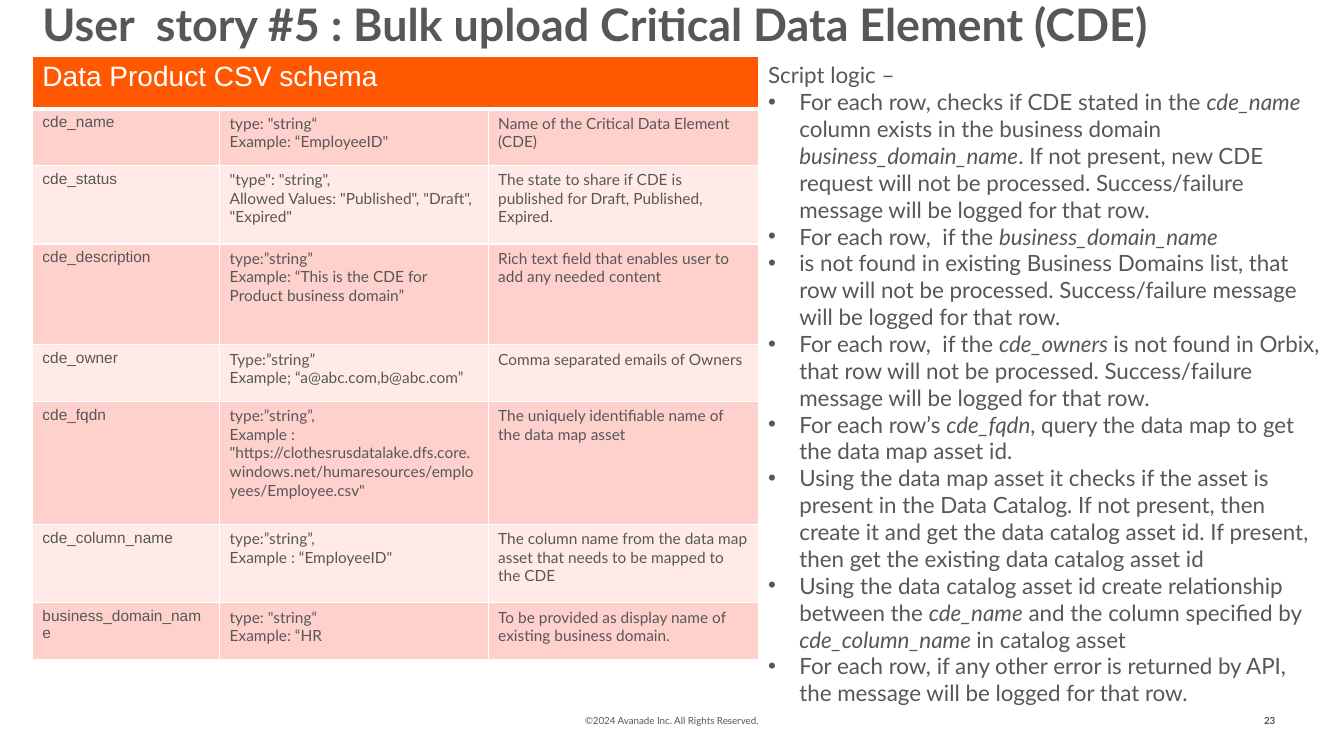
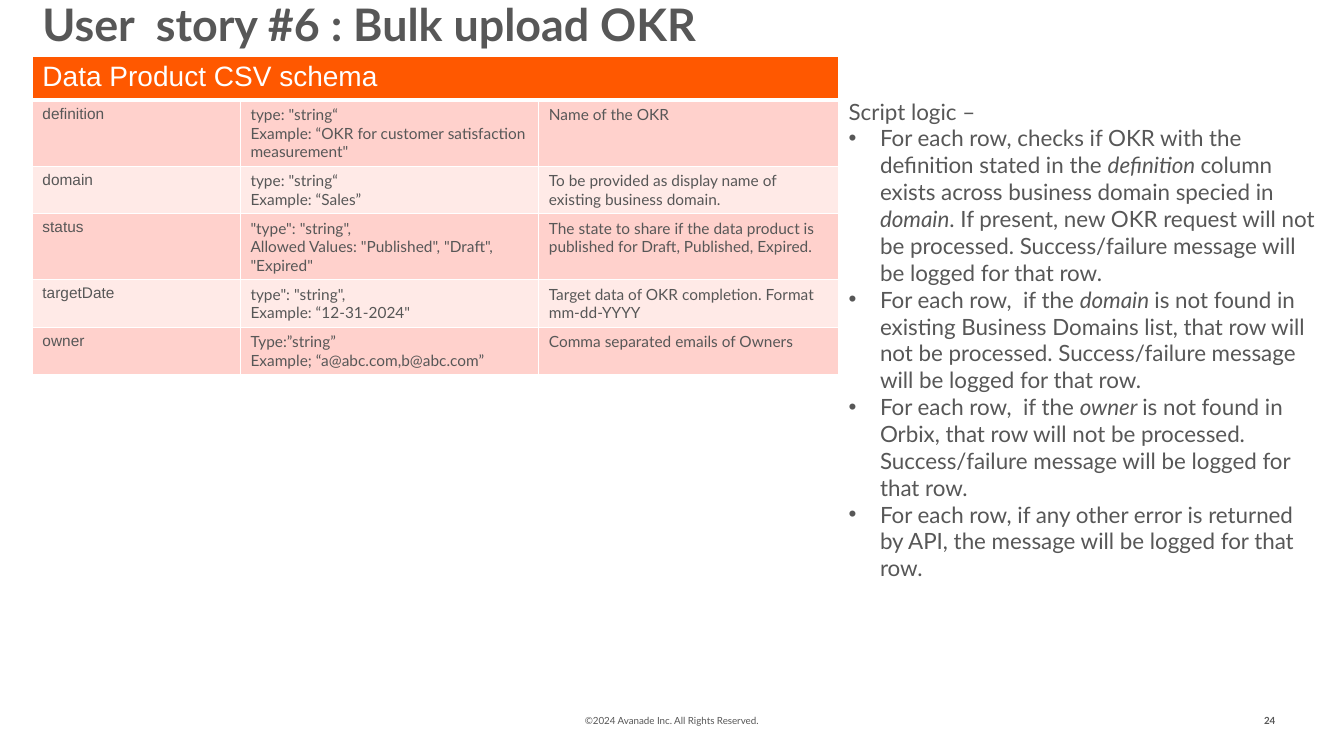
"""Build two user story slides, each with a schema table and its script logic."""
from lxml.etree import SubElement
from pptx import Presentation
from pptx.dml.color import RGBColor
from pptx.enum.shapes import MSO_SHAPE
from pptx.enum.text import MSO_ANCHOR, PP_ALIGN
from pptx.oxml.ns import qn
from pptx.util import Inches, Pt

GREY, WHITE, ORANGE = "575757", "FFFFFF", "FF5800"
BANDS = ["FFD1CC", "FFEAE7"]
SHARES = [0.258, 0.37, 0.372]
LEFT, TOP, RIGHT = 2.41, 7.47, 98.93
FOOT, DEEP = 92.67, 5.33

deck = Presentation()
deck.slide_width, deck.slide_height = Inches(13.33), Inches(7.5)
col, row = deck.slide_width / 100, deck.slide_height / 100
indent = int(2.33 * col)


def hue(code):
    """Turn a hex string into a colour."""
    return RGBColor.from_string(code)


def write(frame, lines, size, face="Lato", ink=GREY, bold=False, align=PP_ALIGN.LEFT):
    """Fill a frame; "• " starts a bullet and asterisks mark italics."""
    frame.word_wrap = True
    for i, line in enumerate(lines):
        para = frame.add_paragraph() if i else frame.paragraphs[0]
        para.alignment = align
        if line.startswith("• "):
            line = line[2:]
            props = para._p.get_or_add_pPr()
            props.set("marL", str(indent))
            props.set("indent", str(-indent))
            SubElement(props, qn("a:buFont"), typeface="Arial")
            SubElement(props, qn("a:buChar"), char="•")
        font = para.font
        font.size, font.name, font.bold = Pt(size), face, bold
        font.color.rgb = hue(ink)
        for j, part in enumerate(line.split("*")):
            if part:
                run = para.add_run()
                run.text = part
                if j % 2:
                    run.font.italic = True


LOGGED = "Success/failure message will be logged for that row."
SKIPPED = f"that row will not be processed. {LOGGED}"
ERROR = "• For each row, if any other error is returned by API, the message will be logged for that row."
STATES = '"type": "string",\nAllowed Values: "Published", "Draft", "Expired"'
MAILS = ("Type:”string”\nExample; “a@abc.com,b@abc.com”", "Comma separated emails of Owners")
SHOWN = "To be provided as display name of existing business domain."

stories = [
    {
        "page": "23",
        "title": "User  story #5 : Bulk upload Critical Data Element (CDE)",
        "wide": 54,
        "top": TOP,
        "rows": [6.93, 7.47, 10.4, 13.33, 7.47, 16.27, 10.4, 7.47],
        "cells": [
            ("cde_name", 'type: "string“\nExample: “EmployeeID"',
             "Name of the Critical Data Element (CDE)"),
            ("cde_status", STATES,
             "The state to share if CDE is published for Draft, Published, Expired."),
            ("cde_description",
             "type:”string”\nExample: “This is the CDE for Product business domain”",
             "Rich text field that enables user to add any needed content"),
            ("cde_owner", *MAILS),
            ("cde_fqdn",
             'type:”string”,\nExample : "https://clothesrusdatalake.dfs.core.windows.net'
             '/humaresources/employees/Employee.csv"',
             "The uniquely identifiable name of the data map asset"),
            ("cde_column_name", 'type:”string”,\nExample : “EmployeeID"',
             "The column name from the data map asset that needs to be mapped to the CDE"),
            ("business_domain_name", 'type: "string“\nExample: “HR', SHOWN),
        ],
        "logic": [
            "• For each row, checks if CDE stated in the *cde_name* column exists in the business "
            "domain *business_domain_name*. If not present, new CDE request will not be "
            f"processed. {LOGGED}",
            "• For each row,  if the *business_domain_name*",
            f"• is not found in existing Business Domains list, {SKIPPED}",
            f"• For each row,  if the *cde_owners *is not found in Orbix, {SKIPPED}",
            "• For each row’s *cde_fqdn*, query the data map to get the data map asset id.",
            "• Using the data map asset it checks if the asset is present in the Data Catalog. "
            "If not present, then create it and get the data catalog asset id. "
            "If present, then get the existing data catalog asset id",
            "• Using the data catalog asset id create relationship between the *cde_name* "
            "and the column specified by *cde_column_name *in catalog asset",
            ERROR,
        ],
    },
    {
        "page": "24",
        "title": "User  story #6 : Bulk upload OKR",
        "wide": 60,
        "top": 12.27,
        "rows": [5.27, 8.75, 6.27, 8.75, 6.27, 6.27],
        "cells": [
            ("definition",
             'type: "string“\nExample: “OKR for customer satisfaction measurement"',
             "Name of the OKR"),
            ("domain", 'type: "string“\nExample: “Sales”', SHOWN),
            ("status", STATES,
             "The state to share if the data product is published for Draft, Published, Expired."),
            ("targetDate", 'type": "string",\nExample: “12-31-2024"',
             "Target data of OKR completion. Format mm-dd-YYYY"),
            ("owner", *MAILS),
        ],
        "logic": [
            "• For each row, checks if OKR with the definition stated in the *definition *column "
            "exists across business domain specied in *domain*. If present, new OKR request will "
            f"not be processed. {LOGGED}",
            "• For each row,  if the *domain *is not found in existing Business Domains list, "
            f"{SKIPPED}",
            f"• For each row,  if the *owner *is not found in Orbix, {SKIPPED}",
            ERROR,
        ],
    },
]

for story in stories:
    slide = deck.slides.add_slide(deck.slide_layouts[6])
    wide = story["wide"]
    side = LEFT + wide
    foot = slide.shapes.add_shape(
        MSO_SHAPE.RECTANGLE, int(33.1 * col), int(FOOT * row), int(33.75 * col), int(DEEP * row))
    foot.shadow.inherit = False
    foot.fill.solid()
    foot.fill.fore_color.rgb = hue(WHITE)
    foot.line.fill.background()
    foot.text_frame.vertical_anchor = MSO_ANCHOR.MIDDLE
    write(foot.text_frame, ["©2024 Avanade Inc. All Rights Reserved."], 7, align=PP_ALIGN.CENTER)

    boxes = [
        ((92.03, FOOT, 3.6, DEEP), MSO_ANCHOR.MIDDLE, [story["page"]],
         {"size": 7, "bold": True, "align": PP_ALIGN.RIGHT}),
        ((LEFT, -1.07, 91.88, 9.47), MSO_ANCHOR.TOP, [story["title"]],
         {"size": 32, "bold": True}),
        ((side, story["top"], RIGHT - side, 71.07), MSO_ANCHOR.TOP,
         ["Script logic –", *story["logic"]], {"size": 16}),
    ]
    for (x, y, w, h), anchor, lines, style in boxes:
        box = slide.shapes.add_textbox(int(x * col), int(y * row), int(w * col), int(h * row))
        box.text_frame.vertical_anchor = anchor
        write(box.text_frame, lines, **style)

    highs = story["rows"]
    table = slide.shapes.add_table(
        len(highs), len(SHARES), int(LEFT * col), int(TOP * row),
        int(wide * col), int(sum(highs) * row)).table
    table.first_row = table.horz_banding = False
    for band, share in zip(table.columns, SHARES):
        band.width = int(share * wide * col)
    for line, high in zip(table.rows, highs):
        line.height = int(high * row)
    table.cell(0, 0).merge(table.cell(0, 2))
    write(table.cell(0, 0).text_frame, ["Data Product CSV schema"], 20, "Arial", WHITE)

    for r in range(len(highs)):
        for c in range(len(SHARES)):
            cell = table.cell(r, c)
            props = cell._tc.get_or_add_tcPr()
            for edge in "LRTB":
                thick = 3 if (r, edge) in [(0, "B"), (1, "T")] else 1
                rule = SubElement(props, qn(f"a:ln{edge}"), w=str(Pt(thick)))
                paint = SubElement(rule, qn("a:solidFill"))
                SubElement(paint, qn("a:srgbClr"), val=WHITE)
            cell.fill.solid()
            cell.fill.fore_color.rgb = hue(BANDS[(r - 1) % 2] if r else ORANGE)
            if r:
                text = story["cells"][r - 1][c]
                write(cell.text_frame, text.split("\n"), 11, "Lato" if c else "Arial")

deck.save("out.pptx")
